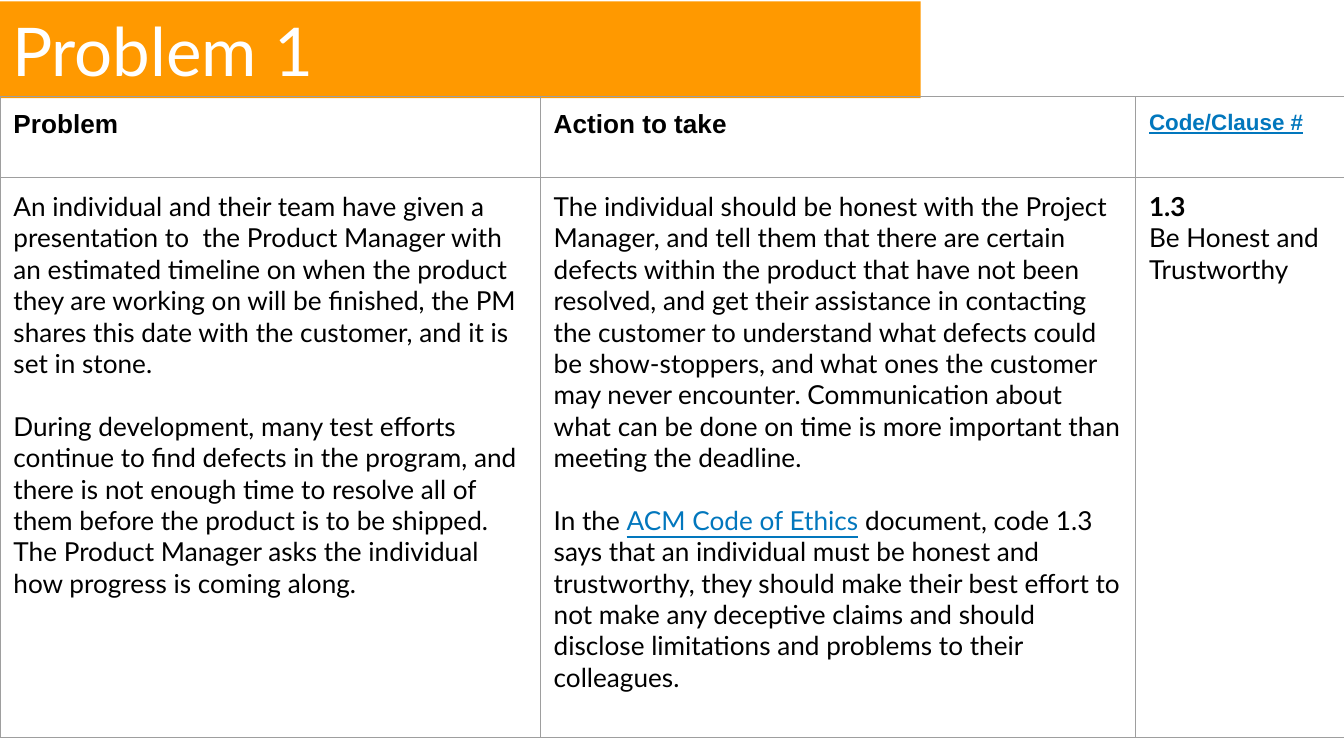
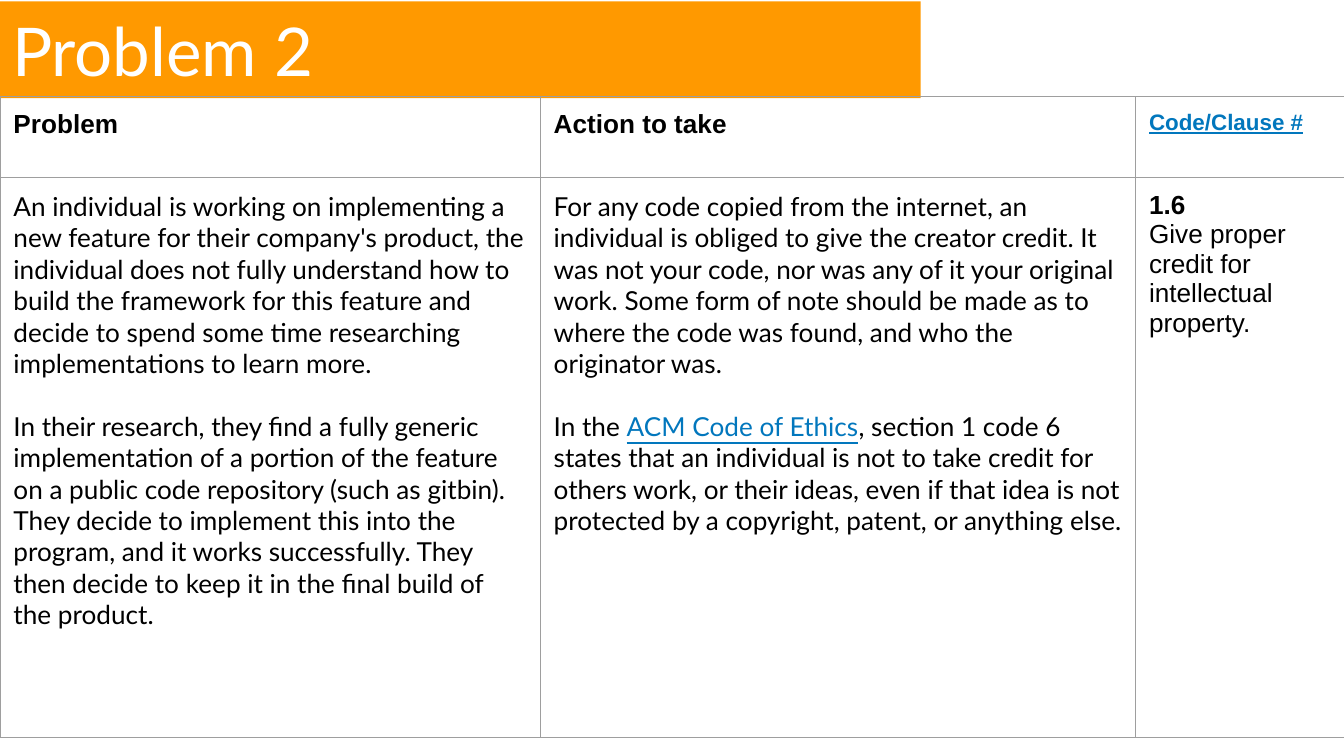
from dataclasses import dataclass

from lxml import etree
from pptx import Presentation
from pptx.dml.color import RGBColor
from pptx.enum import text as t
from pptx.oxml import ns
from pptx.slide import Slide
from pptx.table import _Cell
from pptx.text.text import _Paragraph
from pptx.util import Inches, Pt


@dataclass(frozen=True)
class Theme:
    band: str = "FF9900"
    title: str = "FFFFFF"
    ink: str = "000000"
    link: str = "0277BD"
    border: str = "9E9E9E"
    body_font: str = "Lato"
    header_font: str = "Arial"
    title_size: float = 36
    text_size: float = 14
    small_size: float = 12
    paragraph_gap: float = 16.8
    border_width: float = 0.75
    inset: float = 0.1


@dataclass(frozen=True)
class Style:
    font: str
    size: float
    color: str
    bold: bool = False
    underline: bool = False


@dataclass(frozen=True)
class Problem:
    title: str
    situation: list[str]
    action: list[str]
    clause: str
    clause_text: str
    clause_font: str


THEME = Theme()
TITLE = Style(THEME.body_font, THEME.title_size, THEME.title)
HEADER = Style(THEME.header_font, THEME.text_size, THEME.ink, bold=True)
HEADER_LINK = Style(THEME.header_font, THEME.small_size, THEME.link, True, True)
BODY = Style(THEME.body_font, THEME.text_size, THEME.ink)
BODY_LINK = Style(THEME.body_font, THEME.text_size, THEME.link, underline=True)

HEADERS = [("Problem", HEADER), ("Action to take", HEADER), ("Code/Clause #", HEADER_LINK)]
COLUMN_WIDTHS = [4.02, 4.43, 1.56]
ROW_HEIGHTS = [0.6, 4.17]
TABLE_TOP = 0.72
LINK_TEXT = "ACM Code of Ethics"

PROBLEMS = [
    Problem(
        "Problem 1",
        ["An individual and their team have given a presentation to  the Product Manager "
         "with an estimated timeline on when the product they are working on will be "
         "finished, the PM shares this date with the customer, and it is set in stone.",
         "During development, many test efforts continue to find defects in the program, "
         "and there is not enough time to resolve all of them before the product is to be "
         "shipped. The Product Manager asks the individual how progress is coming along."],
        ["The individual should be honest with the Project Manager, and tell them that "
         "there are certain defects within the product that have not been resolved, and "
         "get their assistance in contacting the customer to understand what defects could "
         "be show-stoppers, and what ones the customer may never encounter. Communication "
         "about what can be done on time is more important than meeting the deadline.",
         f"In the {LINK_TEXT} document, code 1.3 says that an individual must be honest "
         "and trustworthy, they should make their best effort to not make any deceptive "
         "claims and should disclose limitations and problems to their colleagues."],
        "1.3", "Be Honest and Trustworthy", THEME.body_font),
    Problem(
        "Problem 2",
        ["An individual is working on implementing a new feature for their company's "
         "product, the individual does not fully understand how to build the framework for "
         "this feature and decide to spend some time researching implementations to learn "
         "more.",
         "In their research, they find a fully generic implementation of a portion of the "
         "feature on a public code repository (such as gitbin). They decide to implement "
         "this into the program, and it works successfully. They then decide to keep it in "
         "the final build of the product."],
        ["For any code copied from the internet, an individual is obliged to give the "
         "creator credit. It was not your code, nor was any of it your original work. Some "
         "form of note should be made as to where the code was found, and who the "
         "originator was.",
         f"In the {LINK_TEXT}, section 1 code 6 states that an individual is not to take "
         "credit for others work, or their ideas, even if that idea is not protected by a "
         "copyright, patent, or anything else."],
        "1.6", "Give proper credit for intellectual property.", THEME.header_font),
]


def add_run(paragraph: _Paragraph, content: str, style: Style) -> None:
    run = paragraph.add_run()
    run.text = content
    font = run.font
    font.name, font.size = style.font, Pt(style.size)
    font.bold, font.underline = style.bold, style.underline
    font.color.rgb = RGBColor.from_string(style.color)


def write_cell(cell: _Cell, paragraphs: list[tuple[str, Style]], gap: float = 0) -> None:
    """Write one paragraph per entry, with the link phrase in link style."""
    frame = cell.text_frame
    for index, (content, style) in enumerate(paragraphs):
        paragraph = frame.add_paragraph() if index else frame.paragraphs[0]
        paragraph.space_before = Pt(gap if index else 0)
        before, link, after = content.partition(LINK_TEXT)
        for part, part_style in ((before, style), (link, BODY_LINK), (after, style)):
            if part:
                add_run(paragraph, part, part_style)


def format_cell(cell: _Cell) -> None:
    cell.margin_left = cell.margin_right = Inches(THEME.inset)
    cell.margin_top = cell.margin_bottom = Inches(THEME.inset)
    cell.vertical_anchor = t.MSO_ANCHOR.TOP
    # Borders come before the fill in the cell properties
    properties = cell._tc.get_or_add_tcPr()
    for side in ("lnL", "lnR", "lnT", "lnB"):
        line = etree.SubElement(properties, ns.qn(f"a:{side}"), w=str(Pt(THEME.border_width)))
        fill = etree.SubElement(line, ns.qn("a:solidFill"))
        etree.SubElement(fill, ns.qn("a:srgbClr"), val=THEME.border)
    cell.fill.background()


def add_title(slide: Slide, content: str) -> None:
    title = slide.shapes.title
    title.left, title.top = Inches(-0.01), Inches(0.01)
    title.width, title.height = Inches(6.86), Inches(0.72)
    title.fill.solid()
    title.fill.fore_color.rgb = RGBColor.from_string(THEME.band)
    frame = title.text_frame
    frame.margin_left = frame.margin_right = Inches(THEME.inset)
    frame.margin_top = frame.margin_bottom = Inches(THEME.inset)
    frame.word_wrap, frame.auto_size = True, t.MSO_AUTO_SIZE.NONE
    frame.vertical_anchor = t.MSO_ANCHOR.MIDDLE
    paragraph = frame.paragraphs[0]
    paragraph.alignment = t.PP_ALIGN.LEFT
    add_run(paragraph, content, TITLE)


def add_problem_table(slide: Slide, problem: Problem) -> None:
    table = slide.shapes.add_table(
        len(ROW_HEIGHTS), len(COLUMN_WIDTHS), Inches(0), Inches(TABLE_TOP),
        Inches(sum(COLUMN_WIDTHS)), Inches(sum(ROW_HEIGHTS))).table
    table.first_row = table.horz_banding = False
    for column, width in zip(table.columns, COLUMN_WIDTHS):
        column.width = Inches(width)
    for row, height in zip(table.rows, ROW_HEIGHTS):
        row.height = Inches(height)
    for cell in table.iter_cells():
        format_cell(cell)

    # Header row
    for index, header in enumerate(HEADERS):
        write_cell(table.cell(0, index), [header])
    # Situation and action
    for index, paragraphs in enumerate((problem.situation, problem.action)):
        write_cell(table.cell(1, index), [(content, BODY) for content in paragraphs],
                   THEME.paragraph_gap)
    # Clause number and wording
    number = Style(problem.clause_font, THEME.text_size, THEME.ink, bold=True)
    wording = Style(problem.clause_font, THEME.text_size, THEME.ink)
    write_cell(table.cell(1, 2), [(problem.clause, number), (problem.clause_text, wording)])


# Widescreen 16:9 slides
presentation = Presentation()
presentation.slide_width = Inches(10)
presentation.slide_height = Inches(10 * 9 / 16)
title_only = presentation.slide_layouts.get_by_name("Title Only")
for problem in PROBLEMS:
    slide = presentation.slides.add_slide(title_only)
    add_title(slide, problem.title)
    add_problem_table(slide, problem)
presentation.save("out.pptx")
